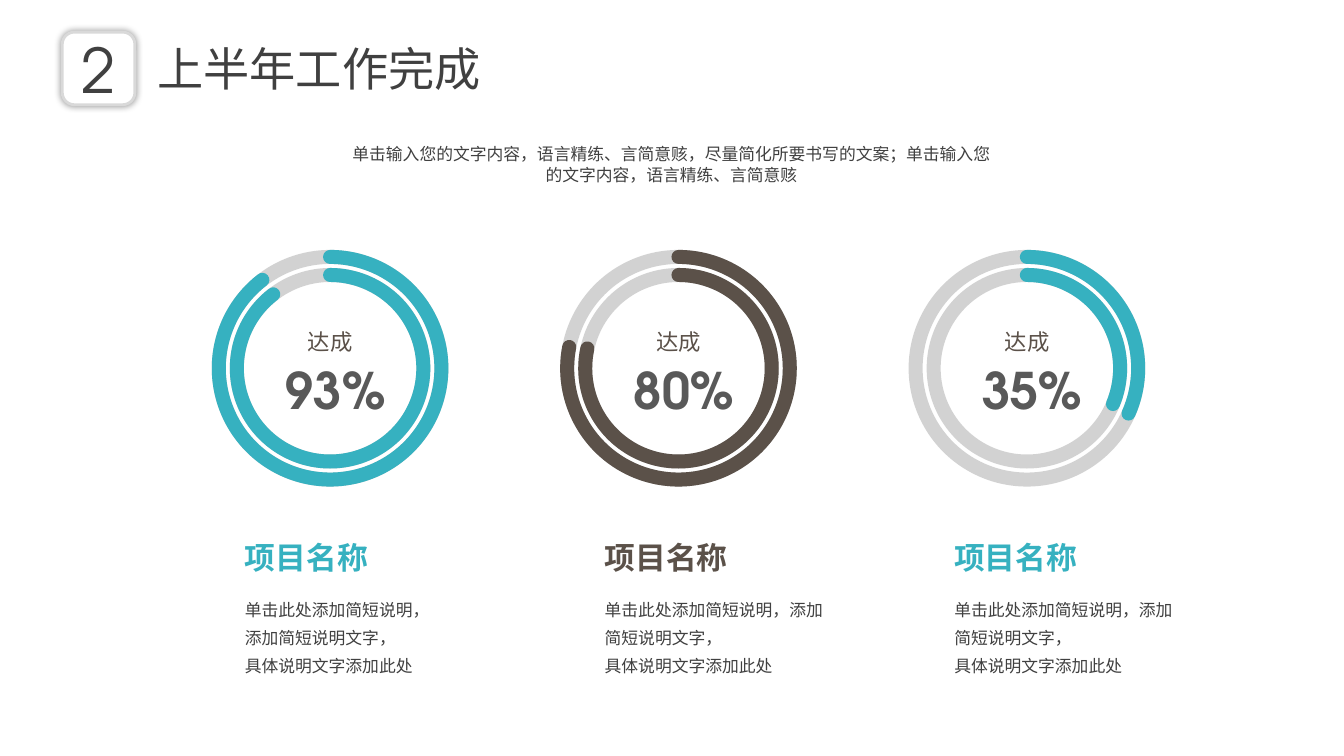
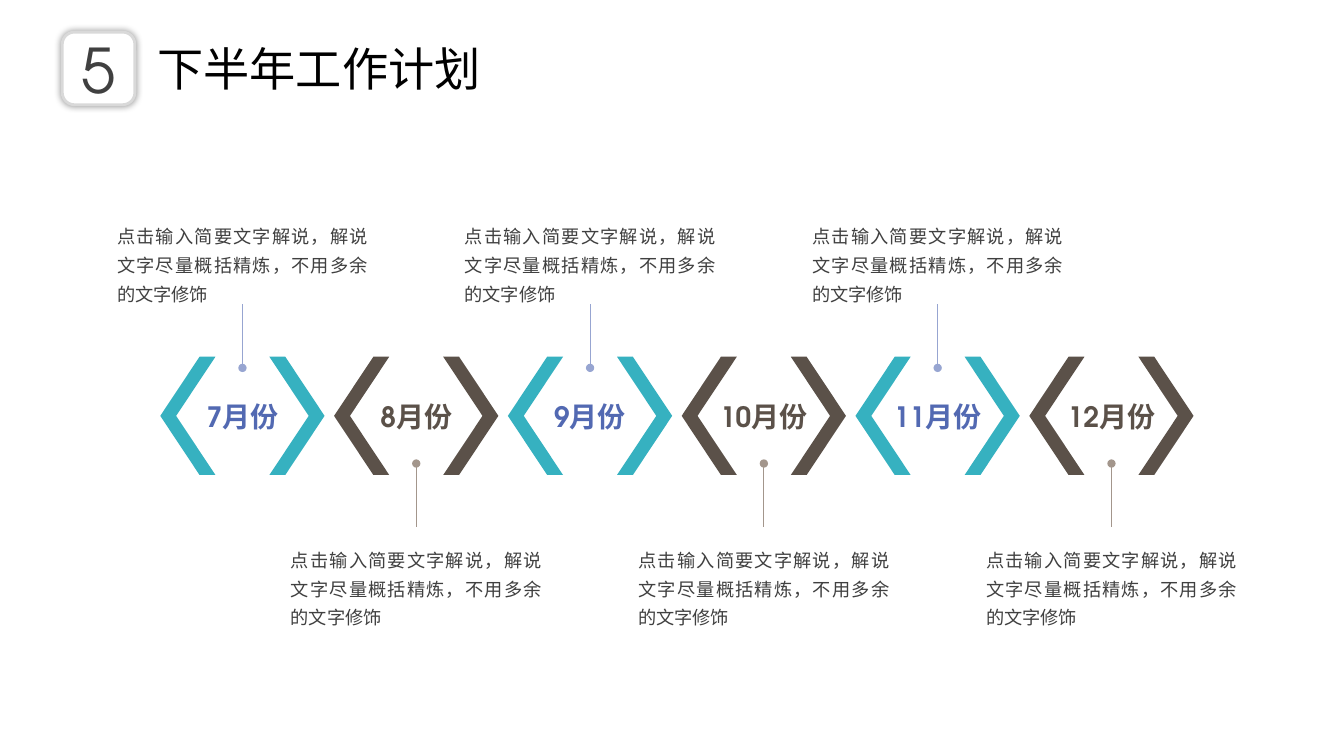
from dataclasses import dataclass

from lxml import etree
from pptx import Presentation
from pptx.dml.color import RGBColor
from pptx.enum.shapes import MSO_CONNECTOR, MSO_SHAPE
from pptx.enum.text import MSO_ANCHOR, MSO_AUTO_SIZE, PP_ALIGN
from pptx.oxml.ns import qn
from pptx.shapes.autoshape import Shape
from pptx.slide import Slide
from pptx.util import Cm, Pt

LEFT, CENTER, JUSTIFY = PP_ALIGN.LEFT, PP_ALIGN.CENTER, PP_ALIGN.JUSTIFY
TOP, MIDDLE = MSO_ANCHOR.TOP, MSO_ANCHOR.MIDDLE
NO_AUTOFIT, GROW = MSO_AUTO_SIZE.NONE, MSO_AUTO_SIZE.SHAPE_TO_FIT_TEXT
OVAL, ARC, ROUNDED = MSO_SHAPE.OVAL, MSO_SHAPE.ARC, MSO_SHAPE.ROUNDED_RECTANGLE
STRAIGHT = MSO_CONNECTOR.STRAIGHT
BOTTOM_SITE = 2

WHITE = RGBColor(0xFF, 0xFF, 0xFF)
BLACK = RGBColor(0x00, 0x00, 0x00)
TEAL = RGBColor(0x36, 0xB1, 0xC0)
BROWN = RGBColor(0x5B, 0x51, 0x49)
INDIGO = RGBColor(0x52, 0x69, 0xB2)
DARK = RGBColor(0x40, 0x40, 0x40)
GRAY = RGBColor(0x59, 0x59, 0x59)
TRACK = RGBColor(0xA6, 0xA6, 0xA6)
BADGE_LINE = RGBColor(0xD9, 0xD9, 0xD9)
PALE_INDIGO = RGBColor(0x97, 0xA5, 0xD1)
PALE_BROWN = RGBColor(0xA3, 0x96, 0x8C)

LATIN_FONT = "TeX Gyre Adventor"
CHINESE_FONT = "Noto Sans CJK SC"


@dataclass(frozen=True)
class TextStyle:
    size: float
    color: RGBColor
    bold: bool = False
    align: PP_ALIGN = LEFT
    font: str = LATIN_FONT
    line_spacing: float | None = None


@dataclass(frozen=True)
class Box:
    """Position and size in centimetres."""
    left: float
    top: float
    width: float
    height: float


@dataclass(frozen=True)
class Project:
    percent: str
    color: RGBColor
    outer_end: float  # arc end angles in degrees
    inner_end: float
    text_left: float
    description: str


@dataclass(frozen=True)
class MonthStyle:
    chevron: RGBColor
    label: RGBColor
    connector: RGBColor


# Slide 1: progress rings
SUMMARY = ("单击输入您的文字内容，语言精练、言简意赅，尽量简化所要书写的文案；"
           "单击输入您的文字内容，语言精练、言简意赅")
LONG_DESCRIPTION = "单击此处添加简短说明，添加简短说明文字，\n具体说明文字添加此处"
PROJECTS = (
    Project("93%", TEAL, 232.54, 232.45, 5.92,
            "单击此处添加简短说明，\n添加简短说明文字，\n具体说明文字添加此处"),
    Project("80%", BROWN, 191.01, 192.29, 14.99, LONG_DESCRIPTION),
    Project("35%", TEAL, 24.02, 22.56, 23.8, LONG_DESCRIPTION),
)
RING_FIRST_X, RING_PITCH, RING_Y = 8.32, 8.78, 9.28
OUTER_DIAMETER, INNER_DIAMETER = 5.61, 4.7
RING_START = 270
ADJUSTMENT_PER_DEGREE = 0.6

# Slide 2: month chevrons
MONTHS = ("7月份", "8月份", "9月份", "10月份", "11月份", "12月份")
MONTH_NOTE = "点击输入简要文字解说，解说文字尽量概括精炼，不用多余的文字修饰"
MONTH_STYLES = (MonthStyle(TEAL, INDIGO, PALE_INDIGO),
                MonthStyle(BROWN, BROWN, PALE_BROWN))
MONTH_FIRST_X, MONTH_PITCH = 6.11, 4.38
CHEVRON_TOP, CHEVRON_WIDTH, CHEVRON_HEIGHT = 8.99, 4.14, 2.98
CHEVRON_DEPTH, CHEVRON_BAND = 0.99, 0.4


def write_text(shape: Shape, text: str, style: TextStyle) -> None:
    shape.text_frame.text = text
    for paragraph in shape.text_frame.paragraphs:
        paragraph.alignment = style.align
        if style.line_spacing:
            paragraph.line_spacing = Pt(style.line_spacing)
        for run in paragraph.runs:
            run.font.name = style.font
            run.font.size = Pt(style.size)
            run.font.bold = style.bold
            run.font.color.rgb = style.color
            east_asian = etree.SubElement(run.font._element, qn("a:ea"))
            east_asian.set("typeface", CHINESE_FONT)


def place(shape: Shape, box: Box) -> None:
    shape.left, shape.top = Cm(box.left), Cm(box.top)
    shape.width, shape.height = Cm(box.width), Cm(box.height)


def add_text(slide: Slide, box: Box, text: str, style: TextStyle, wrap: bool = True,
             inset: bool = True, anchor: MSO_ANCHOR = TOP,
             auto_size: MSO_AUTO_SIZE = GROW) -> Shape:
    shape = slide.shapes.add_textbox(Cm(box.left), Cm(box.top),
                                     Cm(box.width), Cm(box.height))
    frame = shape.text_frame
    frame.word_wrap = wrap
    frame.auto_size = auto_size
    frame.vertical_anchor = anchor
    if not inset:
        frame.margin_left = frame.margin_right = 0
        frame.margin_top = frame.margin_bottom = 0
    write_text(shape, text, style)
    return shape


def add_shape(slide: Slide, kind: MSO_SHAPE, box: Box, line: RGBColor,
              line_width: float) -> Shape:
    shape = slide.shapes.add_shape(kind, Cm(box.left), Cm(box.top),
                                   Cm(box.width), Cm(box.height))
    shape.shadow.inherit = False
    shape.fill.background()
    shape.line.color.rgb = line
    shape.line.width = Pt(line_width)
    return shape


def set_alpha(color_element: etree._Element, percent: int) -> None:
    etree.SubElement(color_element, qn("a:alpha")).set("val", str(percent * 1000))


def add_heading(slide: Slide, number: str, text: str, color: RGBColor) -> None:
    # Title
    title = slide.shapes.title
    place(title, Box(3.71, 0.89, 8.74, 1.68))
    title.text_frame.word_wrap = False
    title.text_frame.auto_size = GROW
    title.text_frame.vertical_anchor = TOP
    write_text(title, text, TextStyle(33, color, font=CHINESE_FONT))

    # Numbered badge with a soft glow
    badge = add_shape(slide, ROUNDED, Box(1.57, 0.81, 1.83, 1.83), BADGE_LINE, 2)
    badge.fill.solid()
    badge.fill.fore_color.rgb = WHITE
    effects = badge.element.spPr.find(qn("a:effectLst"))
    shadow = etree.SubElement(effects, qn("a:outerShdw"), blurRad=str(Pt(5)),
                              dist="0", dir="0", algn="ctr", rotWithShape="0")
    set_alpha(etree.SubElement(shadow, qn("a:srgbClr"), val=str(BLACK)), 40)
    badge.text_frame.vertical_anchor = MIDDLE
    write_text(badge, number, TextStyle(44, DARK, align=CENTER))


def add_ring(slide: Slide, center_x: float, diameter: float, color: RGBColor,
             end: float) -> None:
    box = Box(center_x - diameter / 2, RING_Y - diameter / 2, diameter, diameter)
    track = add_shape(slide, OVAL, box, TRACK, 10)
    set_alpha(track.element.spPr.find(qn("a:ln")).find(".//" + qn("a:srgbClr")), 50)
    arc = add_shape(slide, ARC, box, color, 10)
    arc.adjustments[0] = RING_START * ADJUSTMENT_PER_DEGREE
    arc.adjustments[1] = end * ADJUSTMENT_PER_DEGREE
    arc.element.spPr.find(qn("a:ln")).set("cap", "rnd")


def add_project(slide: Slide, center_x: float, project: Project) -> None:
    add_ring(slide, center_x, OUTER_DIAMETER, project.color, project.outer_end)
    add_ring(slide, center_x, INNER_DIAMETER, project.color, project.inner_end)
    add_text(slide, Box(center_x - 1.2, 9.04, 2.67, 1.55), project.percent,
             TextStyle(36, GRAY, bold=True, align=CENTER), inset=False)
    add_text(slide, Box(center_x - 0.82, 8.15, 1.65, 0.94), "达成",
             TextStyle(16, BROWN, align=CENTER), wrap=False)
    add_text(slide, Box(project.text_left, 13.44, 3.66, 1.19), "项目名称",
             TextStyle(22, project.color, bold=True), wrap=False)
    add_text(slide, Box(project.text_left, 14.78, 6.15, 2.39), project.description,
             TextStyle(12, DARK, line_spacing=20))


def add_chevrons(slide: Slide, center_x: float, color: RGBColor) -> None:
    left = center_x - CHEVRON_WIDTH / 2
    inner = CHEVRON_DEPTH + CHEVRON_BAND
    middle = CHEVRON_HEIGHT / 2
    outline = ((CHEVRON_DEPTH, 0), (inner, 0), (CHEVRON_BAND, middle),
               (inner, CHEVRON_HEIGHT), (CHEVRON_DEPTH, CHEVRON_HEIGHT), (0, middle))
    mirrored = tuple((CHEVRON_WIDTH - x, y) for x, y in outline)
    first, second = ([(Cm(left + x), Cm(CHEVRON_TOP + y)) for x, y in points]
                     for points in (outline, mirrored))
    builder = slide.shapes.build_freeform(*first[0])
    builder.add_line_segments(first[1:], close=True)
    builder.move_to(*second[0])
    builder.add_line_segments(second[1:], close=True)
    shape = builder.convert_to_shape()
    shape.shadow.inherit = False
    shape.fill.solid()
    shape.fill.fore_color.rgb = color
    shape.line.fill.background()


def add_month(slide: Slide, index: int, month: str) -> None:
    center_x = MONTH_FIRST_X + index * MONTH_PITCH
    style = MONTH_STYLES[index % 2]
    above = index % 2 == 0
    add_chevrons(slide, center_x, style.chevron)
    add_text(slide, Box(center_x - 1.25, 9.78, 2.5, 1.4), month,
             TextStyle(20, style.label, bold=True, align=CENTER),
             inset=False, anchor=MIDDLE, auto_size=NO_AUTOFIT)
    note = add_text(slide, Box(center_x - 3.16, 5.51 if above else 13.67, 6.32, 2.16),
                    MONTH_NOTE, TextStyle(13, DARK, align=JUSTIFY, line_spacing=20.5),
                    inset=False)

    # Line with a round head inside the chevrons
    start, end = (9.27, 7.67) if above else (11.68, 13.28)
    connector = slide.shapes.add_connector(STRAIGHT, Cm(center_x), Cm(start),
                                           Cm(center_x), Cm(end))
    if above:
        connector.end_connect(note, BOTTOM_SITE)
    connector.line.color.rgb = style.connector
    connector.line.width = Pt(0.75)
    properties = connector.element.spPr
    etree.SubElement(properties.find(qn("a:ln")), qn("a:headEnd"), type="oval")
    etree.SubElement(properties, qn("a:effectLst"))


def add_slide(presentation: Presentation, number: str, title: str,
              color: RGBColor) -> Slide:
    slide = presentation.slides.add_slide(presentation.slide_layouts[5])
    slide.background.fill.solid()
    slide.background.fill.fore_color.rgb = WHITE
    add_heading(slide, number, title, color)
    return slide


def main() -> None:
    presentation = Presentation()
    presentation.slide_width, presentation.slide_height = Cm(33.87), Cm(19.05)

    progress = add_slide(presentation, "2", "上半年工作完成", DARK)
    add_text(progress, Box(8.86, 3.63, 16.13, 1.02), SUMMARY,
             TextStyle(12, DARK, align=CENTER), inset=False, anchor=MIDDLE)
    for index, project in enumerate(PROJECTS):
        add_project(progress, RING_FIRST_X + index * RING_PITCH, project)

    plan = add_slide(presentation, "5", "下半年工作计划", BLACK)
    for index, month in enumerate(MONTHS):
        add_month(plan, index, month)

    presentation.save("out.pptx")


if __name__ == "__main__":
    main()
